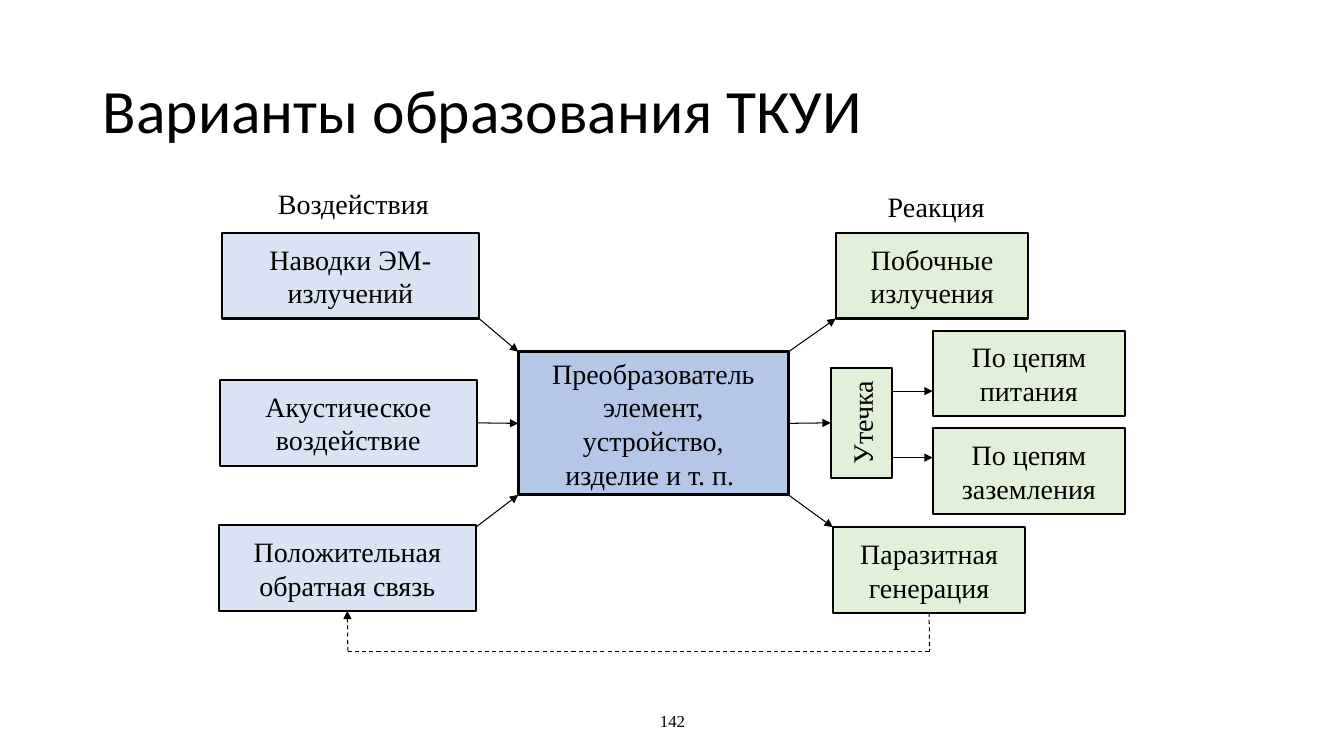
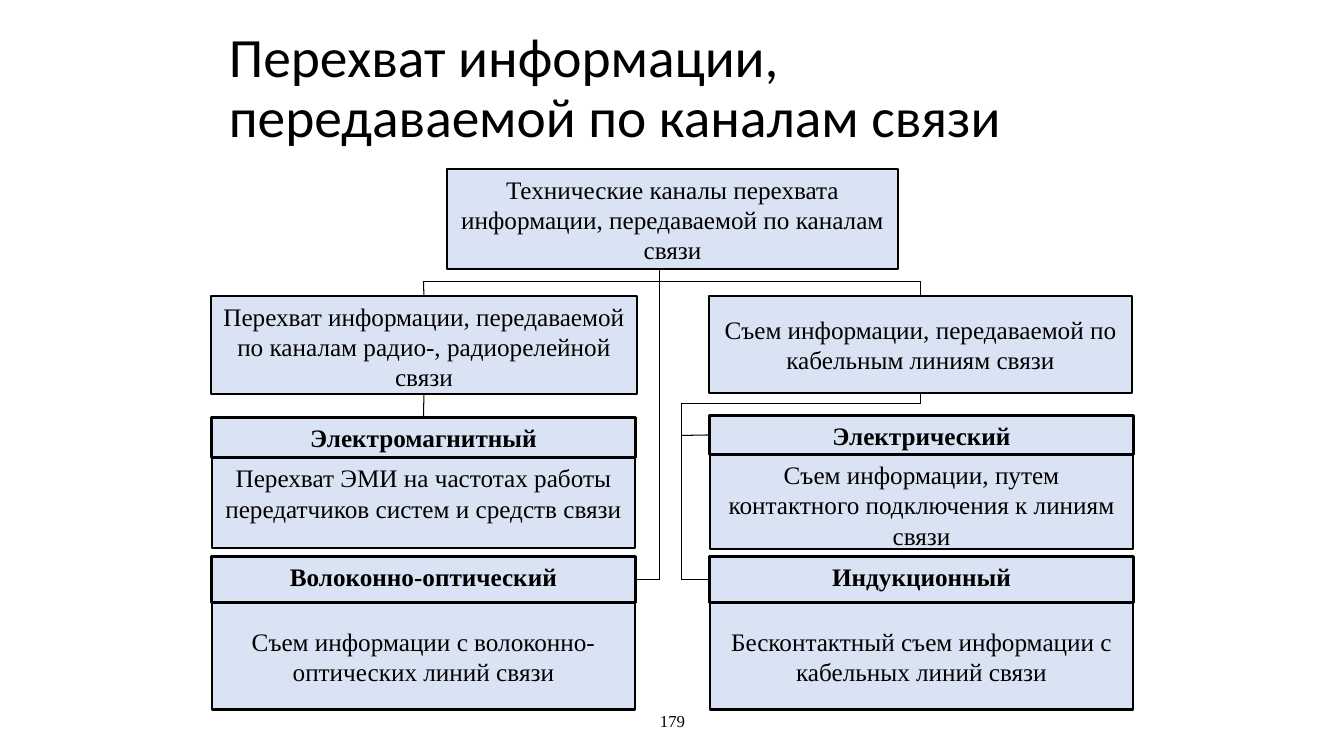
from dataclasses import dataclass
from typing import Optional, Union

import pptx
import pptx.dml.color
import pptx.enum.dml
import pptx.enum.shapes
import pptx.enum.text
import pptx.oxml
import pptx.oxml.ns
import pptx.presentation
import pptx.shapes.autoshape
import pptx.shapes.connector
import pptx.slide
import pptx.text.text
import pptx.util

PX = 9144  # EMU in one px, 100 px to the inch
INK, WHITE = "000000", "FFFFFF"
CAUSE, CORE, REACTION = "DAE3F3", "B4C7E7", "E2F0D9"
TITLE_FONT, BODY_FONT = "Calibri", "Times New Roman"
THIN, MEDIUM, THICK = 0.75, 1.5, 2.25
TOP, LEFT, BOTTOM, RIGHT = range(4)
ANCHOR = pptx.enum.text.MSO_ANCHOR
ALIGN = pptx.enum.text.PP_ALIGN

Area = tuple[int, int, int, int]
Point = tuple[int, int]
Boxes = dict[str, pptx.shapes.autoshape.Shape]


@dataclass(frozen=True)
class Box:
    key: str
    area: Area
    lines: tuple[str, ...]
    fill: str = CAUSE
    border: float = MEDIUM
    size: int = 20
    bold: bool = False
    anchor: ANCHOR = ANCHOR.MIDDLE
    upright: bool = False


@dataclass(frozen=True)
class Card:
    """A bold heading box standing on a description box."""
    key: str
    corner: Point
    heading_height: int
    body_height: int
    heading: str
    body: str
    anchor: ANCHOR


@dataclass(frozen=True)
class Side:
    """The middle of one side of a named box."""
    key: str
    site: int


@dataclass(frozen=True)
class Link:
    start: Union[Point, Side]
    end: Union[Point, Side]
    arrow: bool = False
    dashed: bool = False


def px(length: int) -> pptx.util.Emu:
    return pptx.util.Emu(length * PX)


def color(value: str) -> pptx.dml.color.RGBColor:
    return pptx.dml.color.RGBColor.from_string(value)


def style(font: pptx.text.text.Font, name: str, size: float, bold: bool = False) -> None:
    font.name = name
    font.size = pptx.util.Pt(size)
    font.bold = bold
    font.color.rgb = color(INK)


def write(frame: pptx.text.text.TextFrame, lines: tuple[str, ...], size: int,
          bold: bool = False, anchor: ANCHOR = ANCHOR.MIDDLE) -> None:
    """Fill a frame with centred paragraphs."""
    frame.word_wrap = True
    frame.vertical_anchor = anchor
    for number, line in enumerate(lines):
        paragraph = frame.add_paragraph() if number else frame.paragraphs[0]
        paragraph.alignment = ALIGN.CENTER
        run = paragraph.add_run()
        run.text = line
        style(run.font, BODY_FONT, size, bold)


def add_label(slide: pptx.slide.Slide, area: Area, text: str, size: int) -> None:
    label = slide.shapes.add_textbox(*map(px, area))
    write(label.text_frame, (text,), size)


def add_page(deck: pptx.presentation.Presentation, title_lines: tuple[str, ...],
             title_area: Area, title_size: float, number: str) -> pptx.slide.Slide:
    """Add a slide with its title and page number."""
    slide = deck.slides.add_slide(deck.slide_layouts[5])
    slide.background.fill.solid()
    slide.background.fill.fore_color.rgb = color(WHITE)
    title = slide.shapes.title
    title.left, title.top, title.width, title.height = map(px, title_area)
    frame = title.text_frame
    frame.word_wrap = True
    frame.auto_size = pptx.enum.text.MSO_AUTO_SIZE.NONE
    frame.vertical_anchor = ANCHOR.MIDDLE
    paragraph = frame.paragraphs[0]
    paragraph.alignment = ALIGN.LEFT
    paragraph.line_spacing = 0.9
    for index, line in enumerate(title_lines):
        if index:
            paragraph.add_line_break()
        run = paragraph.add_run()
        run.text = line
        style(run.font, TITLE_FONT, title_size)
    add_label(slide, (442, 695, 450, 40), number, 12)
    return slide


def add_box(slide: pptx.slide.Slide, box: Box) -> pptx.shapes.autoshape.Shape:
    shape = slide.shapes.add_shape(
        pptx.enum.shapes.MSO_SHAPE.RECTANGLE, *map(px, box.area))
    shape.shadow.inherit = False
    shape.fill.solid()
    shape.fill.fore_color.rgb = color(box.fill)
    shape.line.color.rgb = color(INK)
    shape.line.width = pptx.util.Pt(box.border)
    frame = shape.text_frame
    write(frame, box.lines, box.size, box.bold, box.anchor)
    if box.upright:
        frame.margin_left = frame.margin_right = px(4)
        frame._txBody.bodyPr.set("vert", "vert270")
    return shape


def card_boxes(card: Card) -> list[Box]:
    left, top = card.corner
    body_top = top + card.heading_height
    return [
        Box(card.key + " body", (left, body_top, 420, card.body_height), (card.body,),
            size=18, anchor=card.anchor),
        Box(card.key, (left, top, 420, card.heading_height), (card.heading,),
            border=THICK, size=18, bold=True, anchor=ANCHOR.TOP),
    ]


def locate(end: Union[Point, Side], boxes: Boxes) -> tuple[int, int]:
    """Give the EMU position of a link's end."""
    if not isinstance(end, Side):
        return px(end[0]), px(end[1])
    shape = boxes[end.key]
    across = {LEFT: 0, RIGHT: shape.width}.get(end.site, shape.width // 2)
    down = {TOP: 0, BOTTOM: shape.height}.get(end.site, shape.height // 2)
    return shape.left + across, shape.top + down


def add_link(slide: pptx.slide.Slide, link: Link,
             boxes: Boxes) -> pptx.shapes.connector.Connector:
    line = slide.shapes.add_connector(
        pptx.enum.shapes.MSO_CONNECTOR.STRAIGHT,
        *locate(link.start, boxes), *locate(link.end, boxes))
    if isinstance(link.start, Side):
        line.begin_connect(boxes[link.start.key], link.start.site)
    if isinstance(link.end, Side):
        line.end_connect(boxes[link.end.key], link.end.site)
    line.line.color.rgb = color(INK)
    line.line.width = pptx.util.Pt(THIN)
    if link.dashed:
        line.line.dash_style = pptx.enum.dml.MSO_LINE.DASH
    properties = line._element.spPr
    if link.arrow:
        tip = pptx.oxml.parse_xml(
            f'<a:tailEnd {pptx.oxml.ns.nsdecls("a")} type="triangle"/>')
        line.line._get_or_add_ln().append(tip)
    properties.append(pptx.oxml.parse_xml(f'<a:effectLst {pptx.oxml.ns.nsdecls("a")}/>'))
    return line


def draw_scheme(slide: pptx.slide.Slide, parts: list[Box], links: list[Link]) -> None:
    boxes = {part.key: add_box(slide, part) for part in parts}
    for link in links:
        add_link(slide, link, boxes)


def add_leak_variants(deck: pptx.presentation.Presentation) -> None:
    slide = add_page(deck, ("Варианты образования ТКУИ",), (92, 40, 1150, 145), 44, "142")
    causes = [
        ("induction", 220, 231, "Наводки ЭМ-излучений"),
        ("acoustic", 218, 377, "Акустическое воздействие"),
        ("feedback", 217, 521, "Положительная обратная связь"),
    ]
    reactions = [
        ("emission", 829, 231, ("Побочные", "излучения")),
        ("generation", 826, 523, ("Паразитная", "генерация")),
        ("power", 925, 328, ("По цепям", "питания")),
        ("ground", 925, 425, ("По цепям", "заземления")),
    ]
    parts = [Box(key, (x, y, 255, 85), (text,)) for key, x, y, text in causes]
    parts += [Box(key, (x, y, 191, 85), lines, REACTION) for key, x, y, lines in reactions]
    parts += [
        Box("converter", (514, 349, 268, 142),
            ("Преобразователь", "элемент,", "устройство,", "изделие и т. п. "),
            CORE, THICK),
        Box("leak", (824, 365, 61, 109), ("Утечка",), REACTION, upright=True),
    ]
    draw_scheme(slide, parts, [
        Link((475, 316), (514, 349), arrow=True),
        Link(Side("acoustic", RIGHT), Side("converter", LEFT), arrow=True),
        Link((472, 523), (514, 491), arrow=True),
        Link((782, 349), (829, 316), arrow=True),
        Link(Side("converter", RIGHT), Side("leak", LEFT), arrow=True),
        Link((782, 491), (826, 523), arrow=True),
        Link((885, 388), (925, 388), arrow=True),
        Link((885, 454), (925, 454), arrow=True),
        Link(Side("generation", BOTTOM), (922, 646), dashed=True),
        Link((922, 646), (345, 646), dashed=True),
        Link((345, 646), Side("feedback", BOTTOM), arrow=True, dashed=True),
    ])
    add_label(slide, (223, 178, 255, 48), "Воздействия", 20)
    add_label(slide, (801, 184, 255, 42), "Реакция", 20)


def add_interception(deck: pptx.presentation.Presentation) -> None:
    slide = add_page(deck, ("Перехват информации, ", "передаваемой по каналам связи"),
                     (217, 26, 900, 125), 39.6, "179")
    parts = [
        Box("channels", (443, 168, 448, 99),
            ("Технические каналы перехвата информации, передаваемой по каналам связи",),
            size=18),
        Box("radio", (209, 294, 423, 97),
            ("Перехват информации, передаваемой по каналам радио-, радиорелейной связи",),
            size=18, anchor=ANCHOR.TOP),
        Box("cable", (703, 294, 420, 96),
            ("Съем информации, передаваемой по кабельным линиям связи",), size=18),
    ]
    cards = [
        Card("electromagnetic", (210, 414), 40, 90, "Электромагнитный",
             "Перехват ЭМИ на частотах работы передатчиков систем и средств связи",
             ANCHOR.TOP),
        Card("electric", (704, 412), 39, 94, "Электрический",
             "Съем информации, путем контактного подключения к линиям связи", ANCHOR.TOP),
        Card("optical", (210, 552), 46, 106, "Волоконно-оптический",
             "Съем информации с волоконно-оптических линий связи", ANCHOR.MIDDLE),
        Card("inductive", (704, 552), 46, 106, "Индукционный",
             "Бесконтактный съем информации с кабельных линий связи", ANCHOR.MIDDLE),
    ]
    for card in cards:
        parts += card_boxes(card)
    draw_scheme(slide, parts, [
        Link((420, 279), (913, 279)),
        Link((420, 279), Side("radio", TOP)),
        Link((913, 279), Side("cable", TOP)),
        Link((654, 267), (654, 575)),
        Link((654, 575), Side("optical", RIGHT)),
        Link(Side("radio", BOTTOM), Side("electromagnetic", TOP)),
        Link(Side("cable", BOTTOM), (913, 400)),
        Link((913, 400), (676, 400)),
        Link((676, 400), (676, 575)),
        Link((676, 432), Side("electric", LEFT)),
        Link((676, 575), Side("inductive", LEFT)),
    ])


def main() -> None:
    deck = pptx.Presentation()
    deck.slide_width, deck.slide_height = px(1333), px(750)
    add_leak_variants(deck)
    add_interception(deck)
    deck.save("out.pptx")


if __name__ == "__main__":
    main()
